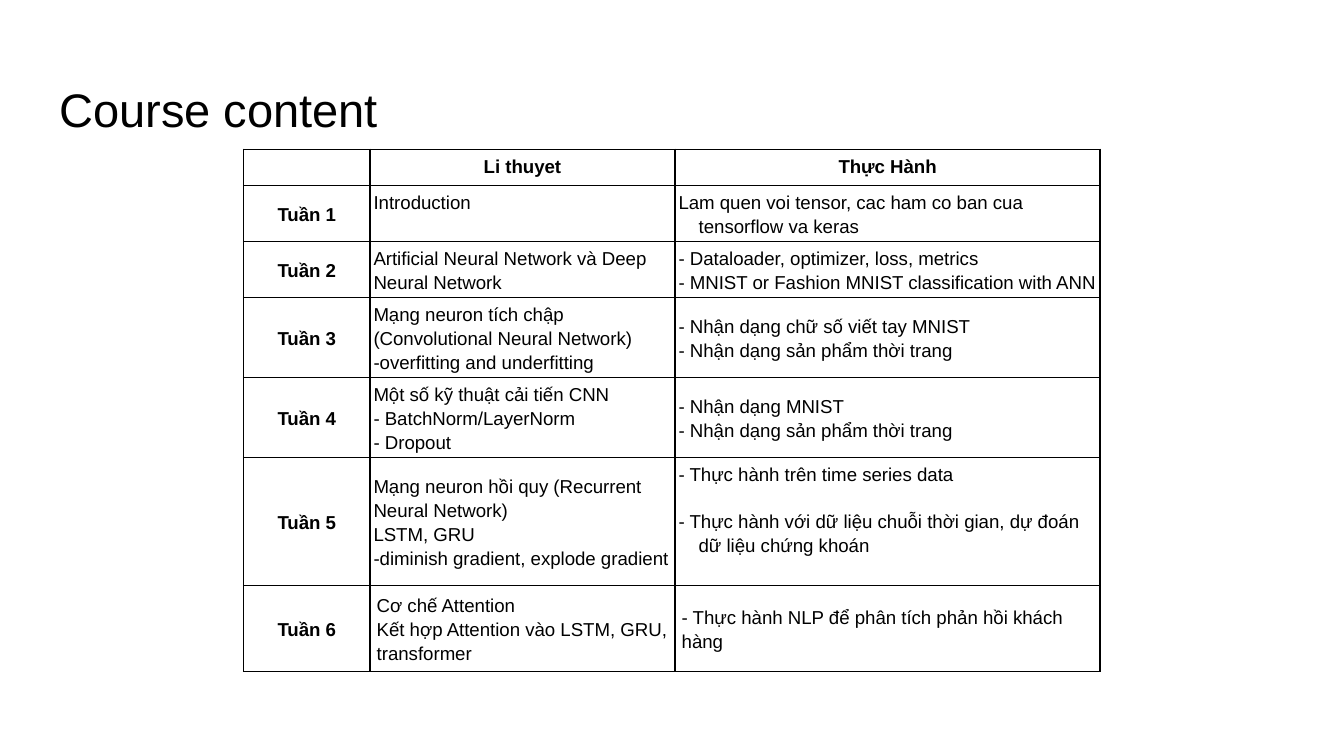
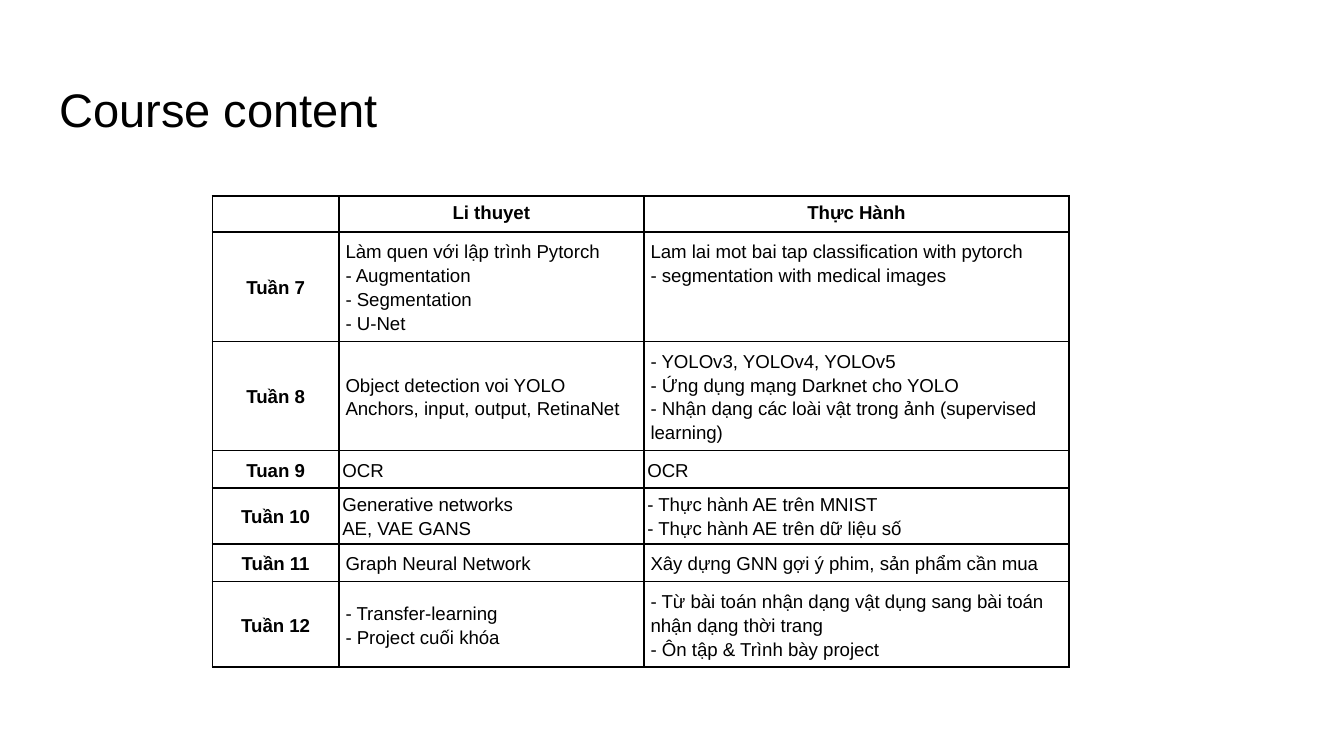
from collections import namedtuple

from lxml.etree import SubElement
from pptx import Presentation
from pptx.dml.color import RGBColor
from pptx.enum.text import MSO_ANCHOR, MSO_AUTO_SIZE, PP_ALIGN
from pptx.oxml.ns import qn
from pptx.util import Pt

FONT = "Arial"
BLACK = "000000"
TITLE_BOX = (24.5, 35.3, 671, 45.4)
COLUMNS = (67.7, 163.4, 227.8)
HEADINGS = ("", "Li thuyet", "Thực Hành")
HEADING_HEIGHT = 18.5
TEXT_SIZE = 10
LINE_SPACING = 1.15
TIGHT, WIDE = 1.9, 3.6
HANG = 10.8
BLANK_LINE = 12.8

Week = namedtuple("Week", "height inset label theory practice top gap",
                  defaults=((), 0))

WEEKS_1_TO_6 = [
    Week(30, TIGHT, "Tuần 1", ["Introduction"],
         ["Lam quen voi tensor, cac ham co ban cua tensorflow va keras"], top=(1,)),
    Week(30, TIGHT, "Tuần 2", ["Artificial Neural Network và Deep Neural Network"],
         ["- Dataloader, optimizer, loss, metrics",
          "- MNIST or Fashion MNIST classification with ANN"]),
    Week(42.85, TIGHT, "Tuần 3",
         ["Mạng neuron tích chập (Convolutional Neural Network)",
          "-overfitting and underfitting"],
         ["- Nhận dạng chữ số viết tay MNIST", "- Nhận dạng sản phẩm thời trang"]),
    Week(42.85, TIGHT, "Tuần 4",
         ["Một số kỹ thuật cải tiến CNN", "- BatchNorm/LayerNorm", "- Dropout"],
         ["- Nhận dạng MNIST", "- Nhận dạng sản phẩm thời trang"]),
    Week(68.6, TIGHT, "Tuần 5",
         ["Mạng neuron hồi quy (Recurrent Neural Network)", "LSTM, GRU",
          "-diminish gradient, explode gradient"],
         ["- Thực hành trên time series data",
          "- Thực hành với dữ liệu chuỗi thời gian, dự đoán dữ liệu chứng khoán"],
         top=(2,), gap=BLANK_LINE),
    Week(46, WIDE, "Tuần 6",
         ["Cơ chế Attention", "Kết hợp Attention vào LSTM, GRU, transformer"],
         ["- Thực hành NLP để phân tích phản hồi khách hàng"]),
]

WEEKS_7_TO_12 = [
    Week(58.6, WIDE, "Tuần 7",
         ["Làm quen với lập trình Pytorch", "- Augmentation", "- Segmentation", "- U-Net"],
         ["Lam lai mot bai tap classification with pytorch",
          "- segmentation with medical images"], top=(2,)),
    Week(58.5, WIDE, "Tuần 8",
         ["Object detection voi YOLO", "Anchors, input, output, RetinaNet"],
         ["- YOLOv3, YOLOv4, YOLOv5", "- Ứng dụng mạng Darknet cho YOLO",
          "- Nhận dạng các loài vật trong ảnh (supervised learning)"]),
    Week(20, TIGHT, "Tuan 9", ["OCR"], ["OCR"]),
    Week(30, TIGHT, "Tuần 10", ["Generative networks", "AE, VAE GANS"],
         ["- Thực hành AE trên MNIST", "- Thực hành AE trên dữ liệu số"]),
    Week(20, WIDE, "Tuần 11", ["Graph Neural Network"],
         ["Xây dựng GNN gợi ý phim, sản phẩm cần mua"]),
    Week(45.8, WIDE, "Tuần 12", ["- Transfer-learning", "- Project cuối khóa"],
         ["- Từ bài toán nhận dạng vật dụng sang bài toán nhận dạng thời trang",
          "- Ôn tập & Trình bày project"]),
]


def color(value):
    return RGBColor.from_string(value)


def format_runs(p, size, bold=False):
    for r in p.runs:
        r.font.name = FONT
        r.font.size = Pt(size)
        r.font.bold = bold
        r.font.color.rgb = color(BLACK)


def add_title(s, text, box):
    sp = s.shapes.title
    sp.left, sp.top, sp.width, sp.height = map(Pt, box)
    tf = sp.text_frame
    tf.text = text
    tf.word_wrap = True
    tf.auto_size = MSO_AUTO_SIZE.NONE
    tf.vertical_anchor = MSO_ANCHOR.MIDDLE
    tf.margin_left = tf.margin_right = tf.margin_top = tf.margin_bottom = Pt(7.2)
    p = tf.paragraphs[0]
    p.alignment = PP_ALIGN.LEFT
    format_runs(p, 25.2)


def draw_borders(cell):
    tcPr = cell._tc.get_or_add_tcPr()
    for side in "LRTB":
        ln = SubElement(tcPr, qn(f"a:ln{side}"), w=str(Pt(1)))
        fill = SubElement(ln, qn("a:solidFill"))
        SubElement(fill, qn("a:srgbClr"), val=BLACK)


def fill_cell(cell, lines, inset, bold=False, hang=False, top=False, spacing=None, gap=0):
    draw_borders(cell)
    cell.fill.background()
    cell.margin_left = cell.margin_right = Pt(inset)
    cell.margin_top = cell.margin_bottom = Pt(inset)
    cell.vertical_anchor = MSO_ANCHOR.TOP if top else MSO_ANCHOR.MIDDLE
    tf = cell.text_frame
    tf.text = "\n".join(lines)
    for i, p in enumerate(tf.paragraphs):
        p.alignment = PP_ALIGN.CENTER if bold else PP_ALIGN.LEFT
        if spacing:
            p.line_spacing = spacing
        if i and gap:
            p.space_before = Pt(gap)
        if hang:
            pPr = p._p.get_or_add_pPr()
            pPr.set("marL", str(Pt(HANG)))
            pPr.set("indent", str(-Pt(HANG)))
        format_runs(p, TEXT_SIZE, bold)
        if not p.runs:
            SubElement(p._p, qn("a:endParaRPr"), sz=str(TEXT_SIZE * 100))


def add_schedule(s, weeks, left, top):
    heights = [HEADING_HEIGHT] + [week.height for week in weeks]
    frame = s.shapes.add_table(len(heights), len(COLUMNS), Pt(left), Pt(top),
                               Pt(sum(COLUMNS)), Pt(sum(heights)))
    table = frame.table
    table.first_row = table.horz_banding = False
    for column, width in zip(table.columns, COLUMNS):
        column.width = Pt(width)
    for row, height in zip(table.rows, heights):
        row.height = Pt(height)
    for c, heading in enumerate(HEADINGS):
        fill_cell(table.cell(0, c), [heading], WIDE, bold=True, top=True)
    for r, week in enumerate(weeks, 1):
        for c, lines in enumerate(([week.label], week.theory, week.practice)):
            practice = c == 2
            fill_cell(table.cell(r, c), lines, week.inset, bold=c == 0,
                      hang=practice and week.inset == TIGHT, top=c in week.top,
                      spacing=LINE_SPACING, gap=week.gap if practice else 0)


def add_content_slide(prs, weeks, left, top):
    s = prs.slides.add_slide(prs.slide_layouts[5])
    add_title(s, "Course content", TITLE_BOX)
    add_schedule(s, weeks, left, top)


def main():
    prs = Presentation()
    prs.slide_width, prs.slide_height = Pt(720), Pt(405)
    add_content_slide(prs, WEEKS_1_TO_6, 130.5, 80.1)
    add_content_slide(prs, WEEKS_7_TO_12, 113.8, 104.9)
    prs.save("out.pptx")


if __name__ == "__main__":
    main()
